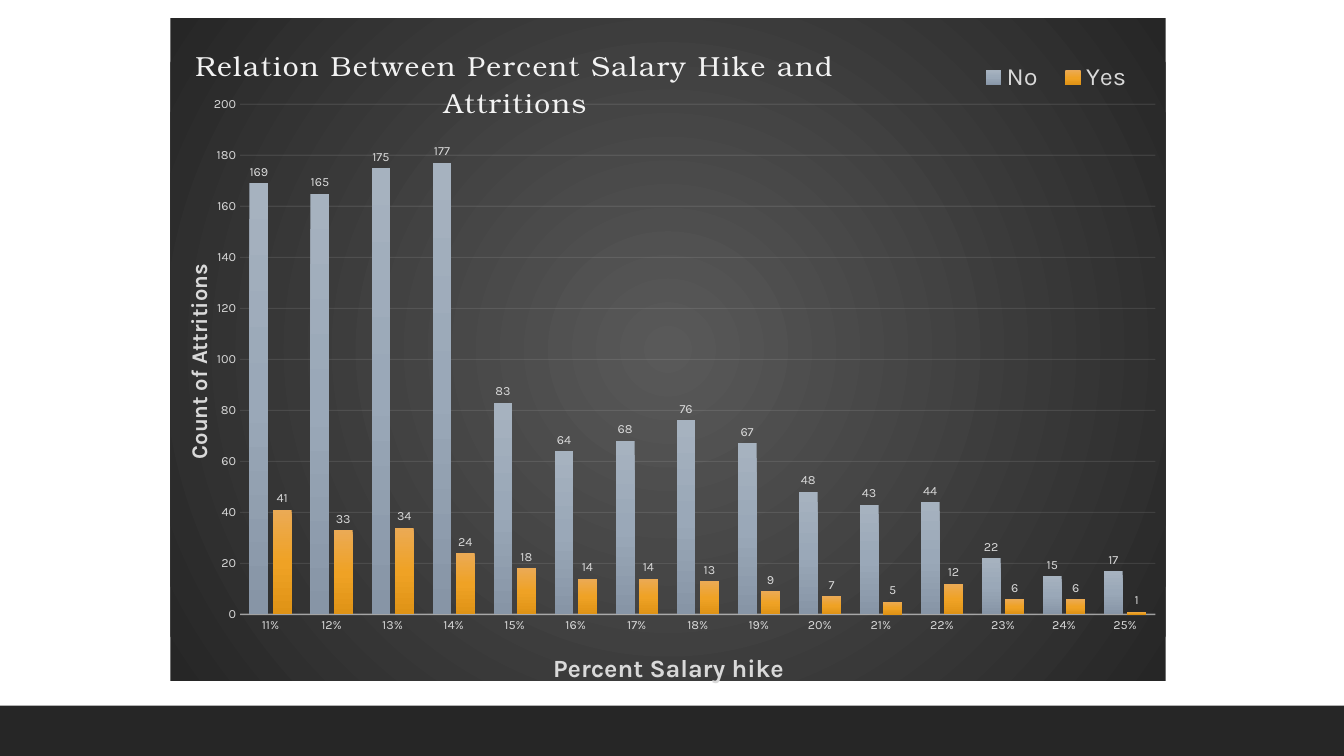
"""Build a slide with a clustered column chart of attrition by percent salary hike."""
from dataclasses import dataclass

import pptx
import pptx.chart.data
import pptx.dml.color
import pptx.enum.chart
import pptx.enum.shapes
import pptx.oxml
import pptx.oxml.ns
import pptx.util


@dataclass(frozen=True)
class Theme:
    """Colours, fonts and type sizes of the slide."""
    bar: str = "262626"
    text: str = "D9D9D9"
    bright: str = "F2F2F2"
    backdrop: tuple = ("595959", "262626")
    no: tuple = ("A6B2BF", "9AA8B8", "8795A6")
    yes: tuple = ("EBAA55", "EFA225", "DF9316")
    body_font: str = "Karla"
    title_font: str = "TeX Gyre Bonum"
    title: int = 20
    axis_x: int = 18
    axis_y: int = 16
    legend: int = 18
    small: int = 9


THEME = Theme()
WIDTH, HEIGHT = pptx.util.Inches(13.33), pptx.util.Inches(7.5)
HIKES = [f"{n}%" for n in range(11, 26)]
NO = (169, 165, 175, 177, 83, 64, 68, 76, 67, 48, 43, 44, 22, 15, 17)
YES = (41, 33, 34, 24, 18, 14, 14, 13, 9, 7, 5, 12, 6, 6, 1)


def rgb(color):
    """Turn a hex string into a colour."""
    return pptx.dml.color.RGBColor.from_string(color)


def xml(tag, inner="", attrs=""):
    """Make an element in the chart or drawing namespace."""
    ns = pptx.oxml.ns.nsdecls("a", "c")
    return pptx.oxml.parse_xml(f"<{tag} {ns} {attrs}>{inner}</{tag}>")


def gradient(colors, direction):
    """Make a gradient fill with evenly spaced stops."""
    step = 100000 // (len(colors) - 1)
    stops = "".join(f'<a:gs pos="{i * step}"><a:srgbClr val="{c}"/></a:gs>'
                    for i, c in enumerate(colors))
    return xml("a:gradFill", f"<a:gsLst>{stops}</a:gsLst>{direction}", 'rotWithShape="1"')


def place(el, after, target="", **shares):
    """Give a chart part a fixed place in shares of the chart."""
    for old in el.findall(pptx.oxml.ns.qn("c:layout")):
        el.remove(old)
    inner = f'<c:layoutTarget val="{target}"/>' if target else ""
    inner += "".join(f'<c:{k}Mode val="edge"/>' for k in "xy")
    inner += "".join(f'<c:{k} val="{v}"/>' for k, v in shares.items())
    layout = xml("c:layout", f"<c:manualLayout>{inner}</c:manualLayout>")
    if after:
        el.find(pptx.oxml.ns.qn(after)).addnext(layout)
    else:
        el.insert(0, layout)


def style_font(font, size, color=THEME.text, name=THEME.body_font, bold=False):
    """Set the look of a font."""
    font.size, font.name, font.bold = pptx.util.Pt(size), name, bold
    font.color.rgb = rgb(color)


def style_line(line, width, opacity):
    """Draw a bright line with a percent opacity."""
    line.width = pptx.util.Pt(width)
    line.color.rgb = rgb(THEME.bright)
    clr = next(line.fill._xPr.iter(pptx.oxml.ns.qn("a:srgbClr")))
    clr.append(xml("a:alpha", attrs=f'val="{opacity * 1000}"'))


def write_title(title, text, x, y, size, spacing=0, turned=False, **look):
    """Write a chart or axis title at a place in the chart."""
    p = title.text_frame.paragraphs[0]
    r = p.add_run()
    r.text = text
    style_font(r.font, size, **look)
    r.font._element.set("spc", str(spacing))
    body = title.text_frame._txBody.bodyPr
    body.set("rot", "-5400000" if turned else "0")
    body.set("vert", "horz")
    place(title._element, "c:tx", x=x, y=y)


def style_axes(chart):
    """Format both axes, their titles and the grid."""
    cat, val = chart.category_axis, chart.value_axis
    for axis in (cat, val):
        axis.major_tick_mark = axis.minor_tick_mark = pptx.enum.chart.XL_TICK_MARK.NONE
        style_font(axis.tick_labels.font, THEME.small)
    style_line(cat.format.line, 1, 54)
    val.format.line.fill.background()
    val.minimum_scale, val.maximum_scale, val.major_unit = 0, 200, 20
    style_line(val.major_gridlines.format.line, 0.75, 10)
    write_title(cat.axis_title, "Percent Salary hike", 0.38, 0.95, THEME.axis_x, bold=True)
    write_title(val.axis_title, "Count of Attritions", 0.01, 0.37, THEME.axis_y,
                turned=True, bold=True)


def style_series(plot):
    """Fill the columns and label their values."""
    plot.gap_width, plot.overlap, plot.vary_by_categories = 100, -24, False
    for ser, colors in zip(plot.series, (THEME.no, THEME.yes)):
        ser.invert_if_negative = False
        ser._element.get_or_add_spPr().append(
            gradient(colors, '<a:lin ang="5400000" scaled="0"/>'))
        labels = ser.data_labels
        labels.show_value = True
        labels.position = pptx.enum.chart.XL_LABEL_POSITION.OUTSIDE_END
        style_font(labels.font, THEME.small)


def style_legend(chart):
    """Put the legend in the top right corner."""
    chart.has_legend = True
    legend = chart.legend
    legend.position = pptx.enum.chart.XL_LEGEND_POSITION.CORNER
    legend.include_in_layout = False
    style_font(legend.font, THEME.legend)
    place(legend._element, "c:legendPos", x=0.8, y=0.06, w=0.18, h=0.06)


def style_backdrop(chart):
    """Fill the chart area with a radial gradient."""
    sp_pr = xml("c:spPr")
    edges = " ".join(f'{side}="50000"' for side in "ltrb")
    sp_pr.append(gradient(THEME.backdrop,
                          f'<a:path path="circle"><a:fillToRect {edges}/></a:path>'))
    sp_pr.append(xml("a:ln", "<a:noFill/>"))
    chart._chartSpace.find(pptx.oxml.ns.qn("c:chart")).addnext(sp_pr)


def add_attrition_chart(s):
    """Add the column chart."""
    data = pptx.chart.data.CategoryChartData()
    data.categories = HIKES
    data.add_series("No", NO)
    data.add_series("Yes", YES)
    box = [pptx.util.Inches(n) for n in (1.69, 0.18, 9.87, 6.68)]
    kind = pptx.enum.chart.XL_CHART_TYPE.COLUMN_CLUSTERED
    chart = s.shapes.add_chart(kind, *box, data).chart
    style_font(chart.font, 10)
    style_backdrop(chart)
    write_title(chart.chart_title, "Relation Between Percent Salary Hike and Attritions",
                0.02, 0.03, THEME.title, spacing=100, color=THEME.bright,
                name=THEME.title_font)
    style_axes(chart)
    style_series(chart.plots[0])
    style_legend(chart)
    place(chart._chartSpace.chart.plotArea, None, "inner", x=0.07, y=0.13, w=0.92, h=0.77)


def add_footer_bar(s):
    """Add the dark bar along the bottom edge."""
    top = HEIGHT * 14 // 15
    sp = s.shapes.add_shape(pptx.enum.shapes.MSO_SHAPE.RECTANGLE, 0, top, WIDTH, HEIGHT - top)
    sp.shadow.inherit = False
    sp.fill.solid()
    sp.fill.fore_color.rgb = rgb(THEME.bar)
    sp.line.fill.background()


def main():
    """Build and save the slide."""
    prs = pptx.Presentation()
    prs.slide_width, prs.slide_height = WIDTH, HEIGHT
    s = prs.slides.add_slide(prs.slide_layouts[6])
    add_footer_bar(s)
    add_attrition_chart(s)
    prs.save("out.pptx")


if __name__ == "__main__":
    main()
